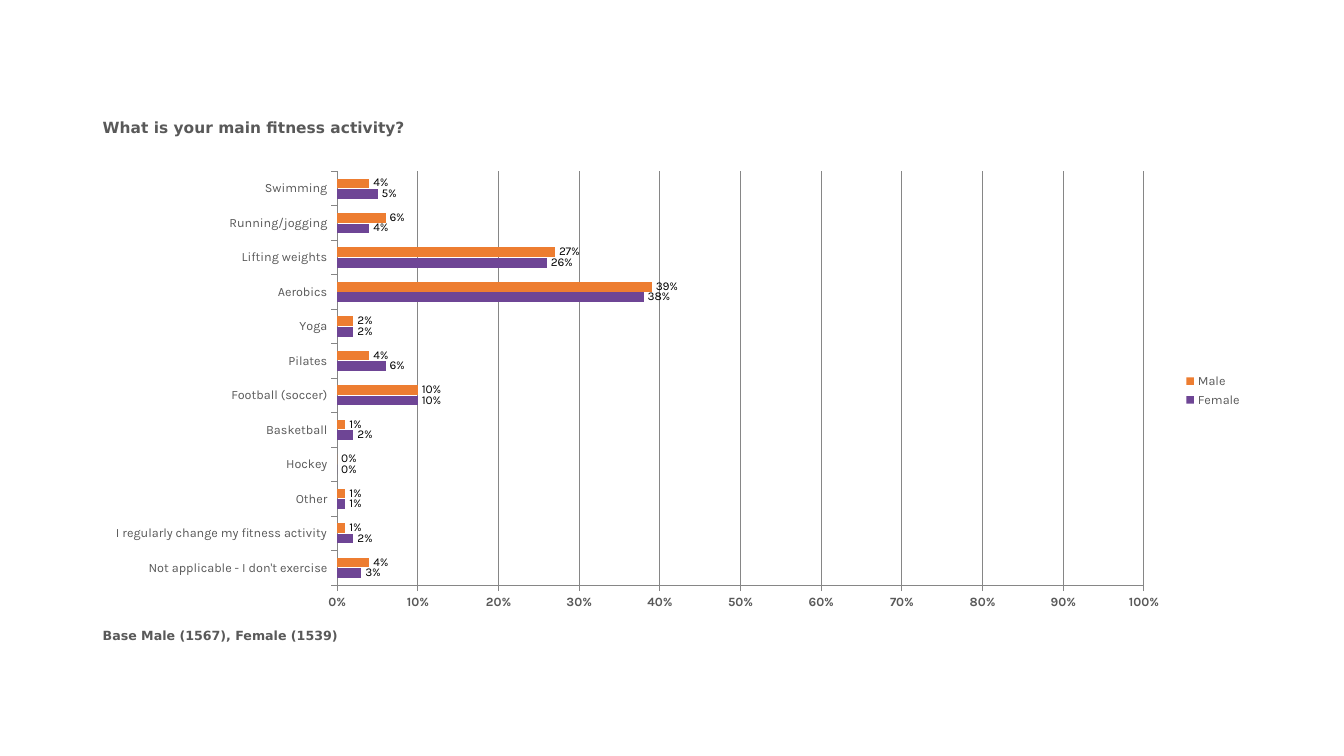
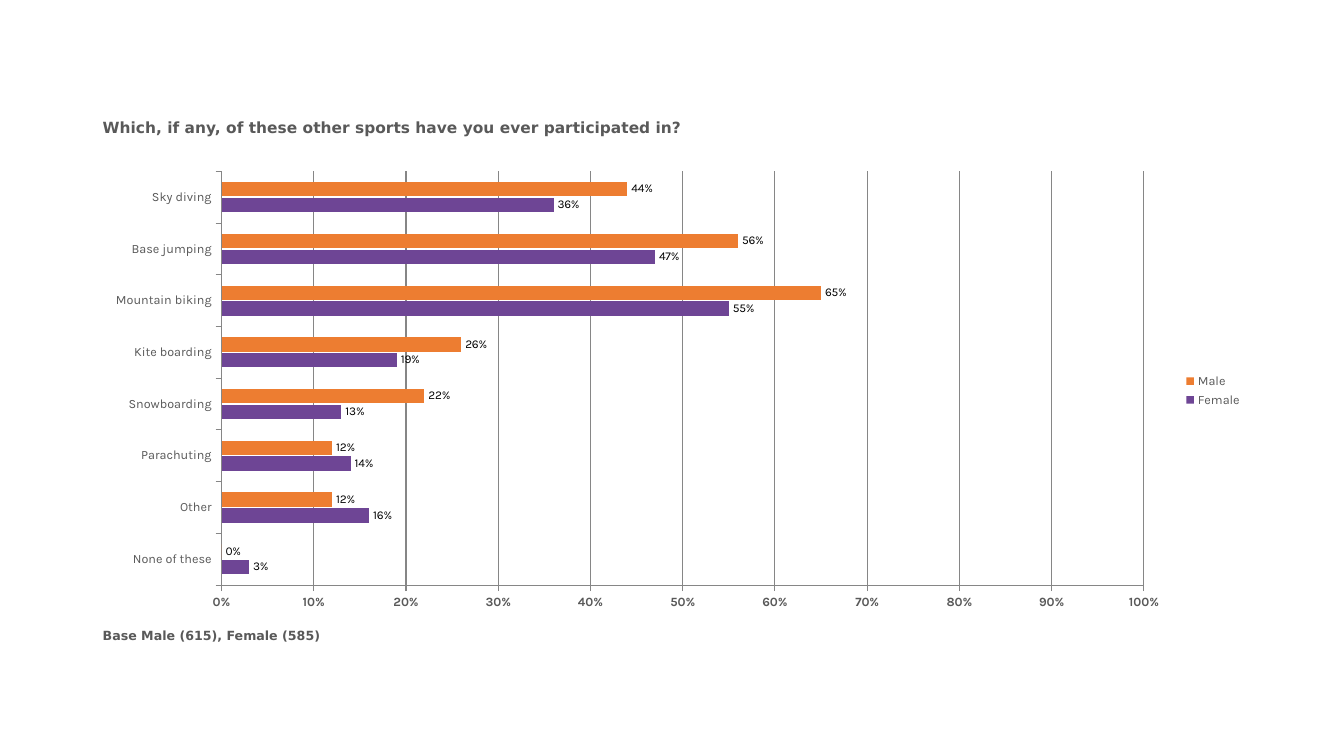
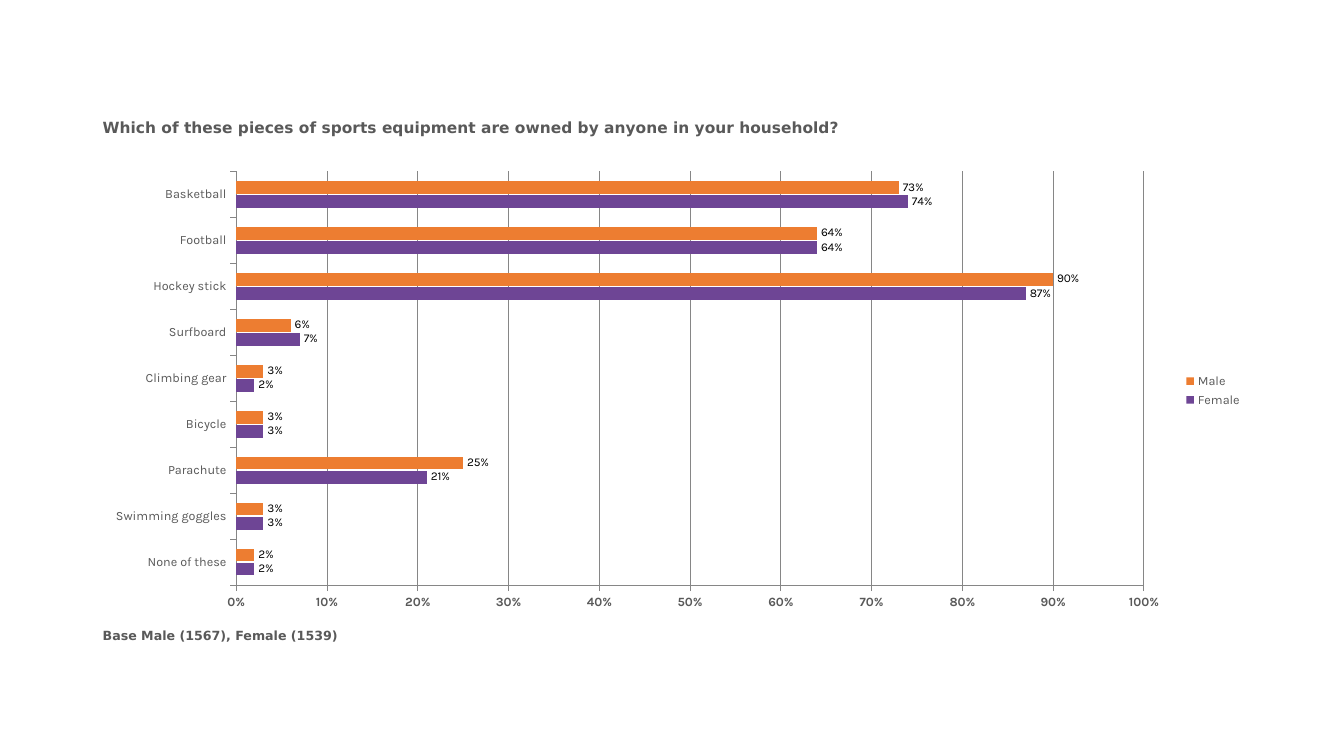
"""Three survey slides with clustered bar charts of answers by men and women."""
from pptx import Presentation
from pptx.chart.data import CategoryChartData
from pptx.dml.color import RGBColor
from pptx.enum.chart import (XL_CHART_TYPE, XL_LABEL_POSITION,
                             XL_LEGEND_POSITION, XL_TICK_LABEL_POSITION,
                             XL_TICK_MARK)
from pptx.util import Inches, Pt

GREY = RGBColor(0x59, 0x59, 0x59)
LINE = RGBColor(0x86, 0x86, 0x86)
BLACK = RGBColor(0, 0, 0)
PURPLE = RGBColor(0x6E, 0x45, 0x95)
ORANGE = RGBColor(0xED, 0x7D, 0x31)
LEFT, WIDTH = Inches(0.92), Inches(11.5)

SURVEY = [
    ("What is your main fitness activity?", "Base Male (1567), Female (1539)", [
        ("Swimming", 0.04, 0.05),
        ("Running/jogging", 0.06, 0.04),
        ("Lifting weights", 0.27, 0.26),
        ("Aerobics", 0.39, 0.38),
        ("Yoga", 0.02, 0.02),
        ("Pilates", 0.04, 0.06),
        ("Football (soccer)", 0.10, 0.10),
        ("Basketball", 0.01, 0.02),
        ("Hockey", 0, 0),
        ("Other", 0.01, 0.01),
        ("I regularly change my fitness activity", 0.01, 0.02),
        ("Not applicable - I don't exercise", 0.04, 0.03),
    ]),
    ("Which, if any, of these other sports have you ever participated in?",
     "Base Male (615), Female (585)", [
        ("Sky diving", 0.44, 0.36),
        ("Base jumping", 0.56, 0.47),
        ("Mountain biking", 0.65, 0.55),
        ("Kite boarding", 0.26, 0.19),
        ("Snowboarding", 0.22, 0.13),
        ("Parachuting", 0.12, 0.14),
        ("Other", 0.12, 0.16),
        ("None of these", 0, 0.03),
     ]),
    ("Which of these pieces of sports equipment are owned by anyone in your household?",
     "Base Male (1567), Female (1539)", [
        ("Basketball", 0.73, 0.74),
        ("Football", 0.64, 0.64),
        ("Hockey stick", 0.90, 0.87),
        ("Surfboard", 0.06, 0.07),
        ("Climbing gear", 0.03, 0.02),
        ("Bicycle", 0.03, 0.03),
        ("Parachute", 0.25, 0.21),
        ("Swimming goggles", 0.03, 0.03),
        ("None of these", 0.02, 0.02),
     ]),
]


def style(font, size, color, name="Karla", bold=False):
    """Set the look of a font."""
    font.size, font.name, font.bold = Pt(size), name, bold
    font.color.rgb = color


def add_text(slide, text, top, height, size):
    """Add a bold grey line of text across the slide."""
    box = slide.shapes.add_textbox(LEFT, Inches(top), WIDTH, Inches(height))
    frame = box.text_frame
    frame.word_wrap = True
    frame.text = text
    style(frame.paragraphs[0].runs[0].font, size, GREY, "DejaVu Sans", True)


deck = Presentation()
deck.slide_width, deck.slide_height = Inches(13.33), Inches(7.5)

for title, base, rows in SURVEY:
    slide = deck.slides.add_slide(deck.slide_layouts[6])
    add_text(slide, title, 1.12, 0.51, 11)
    add_text(slide, base, 6.18, 0.43, 9)

    names, male, female = zip(*reversed(rows))
    data = CategoryChartData(number_format="0%")
    data.categories = names
    data.add_series("Female", female)
    data.add_series("Male", male)
    chart = slide.shapes.add_chart(XL_CHART_TYPE.BAR_CLUSTERED, LEFT, Inches(1.61),
                                   WIDTH, Inches(4.53), data).chart
    style(chart.font, 18, BLACK, "Calibri")
    chart.has_title = False
    chart.has_legend = True
    chart.legend.position = XL_LEGEND_POSITION.RIGHT
    chart.legend.include_in_layout = False
    style(chart.legend.font, 9, GREY)

    for axis, bold in ((chart.category_axis, False), (chart.value_axis, True)):
        axis.tick_label_position = XL_TICK_LABEL_POSITION.LOW
        axis.major_tick_mark = XL_TICK_MARK.OUTSIDE
        axis.minor_tick_mark = XL_TICK_MARK.NONE
        axis.format.line.color.rgb = LINE
        axis.format.line.width = Pt(0.75)
        style(axis.tick_labels.font, 9, GREY, bold=bold)

    scale = chart.value_axis
    scale.minimum_scale, scale.maximum_scale, scale.major_unit = 0, 1, 0.1
    scale.has_major_gridlines = True
    grid = scale.major_gridlines.format.line
    grid.color.rgb, grid.width = LINE, Pt(0.75)
    scale.tick_labels.number_format = "0%"
    scale.tick_labels.number_format_is_linked = False

    plot = chart.plots[0]
    plot.vary_by_categories = False
    plot.gap_width, plot.overlap = 150, -10
    for series, color in zip(plot.series, (PURPLE, ORANGE)):
        series.format.fill.solid()
        series.format.fill.fore_color.rgb = color
        series.invert_if_negative = False
        labels = series.data_labels
        labels.show_value = True
        labels.position = XL_LABEL_POSITION.OUTSIDE_END
        labels.number_format = "0%"
        labels.number_format_is_linked = False
        style(labels.font, 8.5, BLACK)

deck.save("out.pptx")
